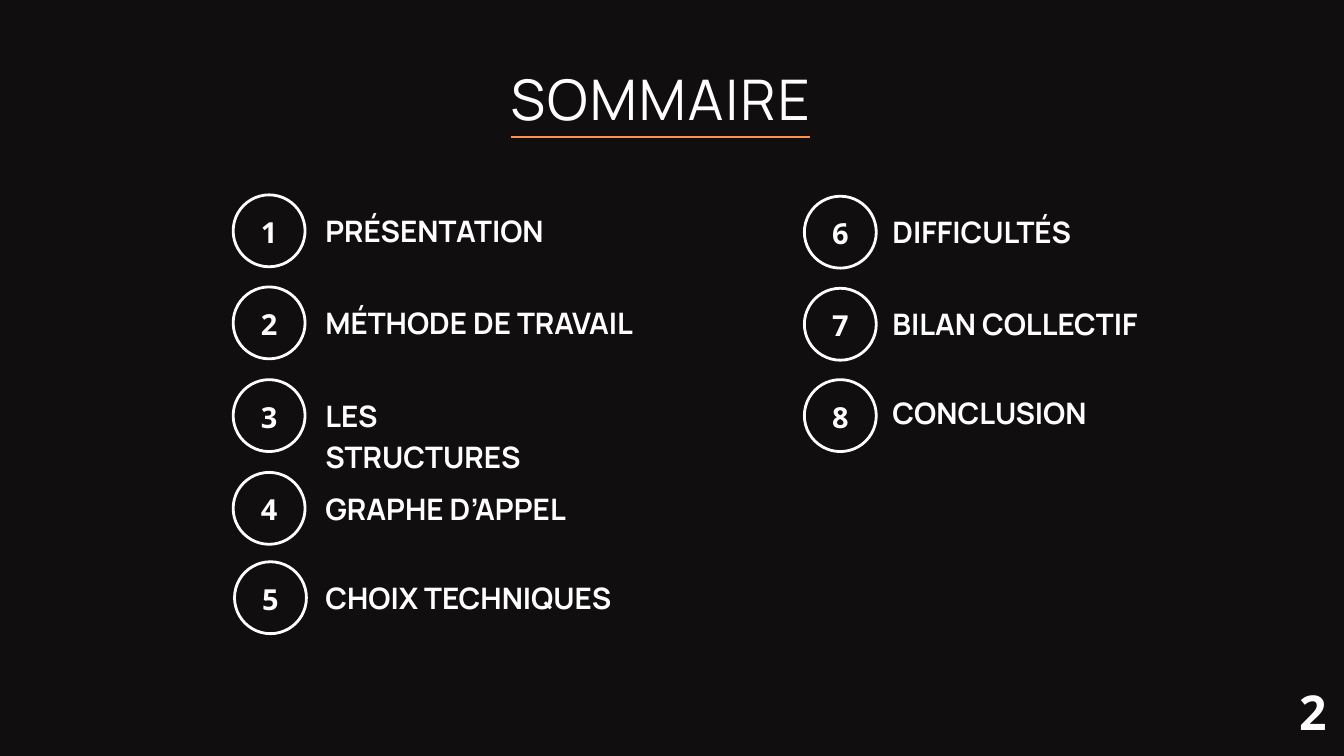
from dataclasses import dataclass

from lxml.etree import SubElement
from pptx import Presentation
from pptx.dml.color import RGBColor
from pptx.enum.shapes import MSO_CONNECTOR as Connector, MSO_SHAPE as Shape
from pptx.enum.text import MSO_ANCHOR as Anchor, PP_ALIGN as Align
from pptx.oxml.ns import qn
from pptx.util import Inches, Pt


@dataclass(frozen=True)
class TextStyle:
    font: str
    size: float
    leading: float
    bold: bool = True
    align: Align = Align.LEFT
    tracking: float = 0


@dataclass(frozen=True)
class Theme:
    background: str = "100E0E"
    ink: str = "FFFFFF"
    accent: str = "FF914D"
    stroke: float = 3
    title: TextStyle = TextStyle("Manrope", 60, 63.6, bold=False, tracking=2.2)
    label: TextStyle = TextStyle("Manrope", 31.7, 44.4)
    number: TextStyle = TextStyle("Open Sans", 31, 43.4, align=Align.CENTER)
    page: TextStyle = TextStyle("Open Sans", 51.5, 72.1, align=Align.CENTER)


class AgendaSlide:
    """Places elements on a grid of 20 columns by 11.25 rows."""

    COLUMNS, ROWS = 20, 11.25
    DIAMETER = 1.07

    def __init__(self, presentation, theme):
        self.theme = theme
        self.column = presentation.slide_width / self.COLUMNS
        self.row = presentation.slide_height / self.ROWS
        self.slide = presentation.slides.add_slide(presentation.slide_layouts[6])
        fill = self.slide.background.fill
        fill.solid()
        fill.fore_color.rgb = RGBColor.from_string(theme.background)

    def place(self, *lengths):
        units = (self.column, self.row) * 2
        return [round(length * unit) for length, unit in zip(lengths, units)]

    def outline(self, line, color):
        line.color.rgb = RGBColor.from_string(color)
        line.width = Pt(self.theme.stroke)

    def text(self, words, box, style, inset=0, anchor=Anchor.TOP, parent=None):
        shapes = (parent or self.slide).shapes
        frame = shapes.add_textbox(*self.place(*box)).text_frame
        frame.word_wrap = True
        frame.vertical_anchor = anchor
        frame.margin_left = frame.margin_right = Inches(inset)
        frame.margin_top = frame.margin_bottom = Inches(inset)
        paragraph = frame.paragraphs[0]
        paragraph.alignment = style.align
        paragraph.line_spacing = Pt(style.leading)
        run = paragraph.add_run()
        run.text = words
        run.font.name = style.font
        run.font.size = Pt(style.size)
        run.font.bold = style.bold
        run.font.color.rgb = RGBColor.from_string(self.theme.ink)
        if style.tracking:
            run._r.get_or_add_rPr().set("spc", str(round(style.tracking * 100)))

    def badge(self, number, left, top):
        group = self.slide.shapes.add_group_shape()
        box = self.place(left, top, self.DIAMETER, self.DIAMETER)
        circle = group.shapes.add_shape(Shape.OVAL, *box)
        circle.shadow.inherit = False
        circle.fill.background()
        self.outline(circle.line, self.theme.ink)
        self.text(str(number), (left + 0.1, top + 0.04, 0.87, 0.93),
                  self.theme.number, 0.06, Anchor.MIDDLE, group)

    def rule(self, left, right, top):
        ends = self.place(left, top, right, top)
        line = self.slide.shapes.add_connector(Connector.STRAIGHT, *ends)
        self.outline(line.line, self.theme.accent)
        SubElement(line._element.spPr, qn("a:effectLst"))


# Each entry: label, label width, badge left, badge top, drop from badge to label
LABEL_LEFT = {"left": 4.84, "right": 13.28}
AGENDA = {
    "left": [
        ("PRÉSENTATION", 3.68, 3.47, 2.9, 0.18),
        ("MÉTHODE DE TRAVAIL", 5.15, 3.47, 4.27, 0.18),
        ("LES STRUCTURES", 3.75, 3.47, 5.65, 0.18),
        ("GRAPHE D’APPEL", 3.75, 3.47, 7.03, 0.18),
        ("CHOIX TECHNIQUES", 4.49, 3.49, 8.36, 0.18),
    ],
    "right": [
        ("DIFFICULTÉS", 2.88, 11.97, 2.92, 0.18),
        ("BILAN COLLECTIF", 4.13, 11.97, 4.29, 0.18),
        ("CONCLUSION", 3.03, 11.97, 5.65, 0.14),
    ],
}


def main():
    presentation = Presentation()
    presentation.slide_width = Inches(20)
    presentation.slide_height = Inches(11.25)
    theme = Theme()
    agenda = AgendaSlide(presentation, theme)

    # Title and its underline
    agenda.text("SOMMAIRE", (7.6, 1.07, 4.79, 0.97), theme.title)
    agenda.rule(7.6, 12.05, 2.04)

    # Numbered entries, counted on from the left column to the right
    number = 0
    for side, entries in AGENDA.items():
        for label, width, left, top, drop in entries:
            number += 1
            agenda.badge(number, left, top)
            agenda.text(label, (LABEL_LEFT[side], top + drop, width, 0.62), theme.label)

    # Page number
    agenda.text("2", (19.33, 10.02, 0.41, 0.96), theme.page)

    presentation.save("out.pptx")


if __name__ == "__main__":
    main()
